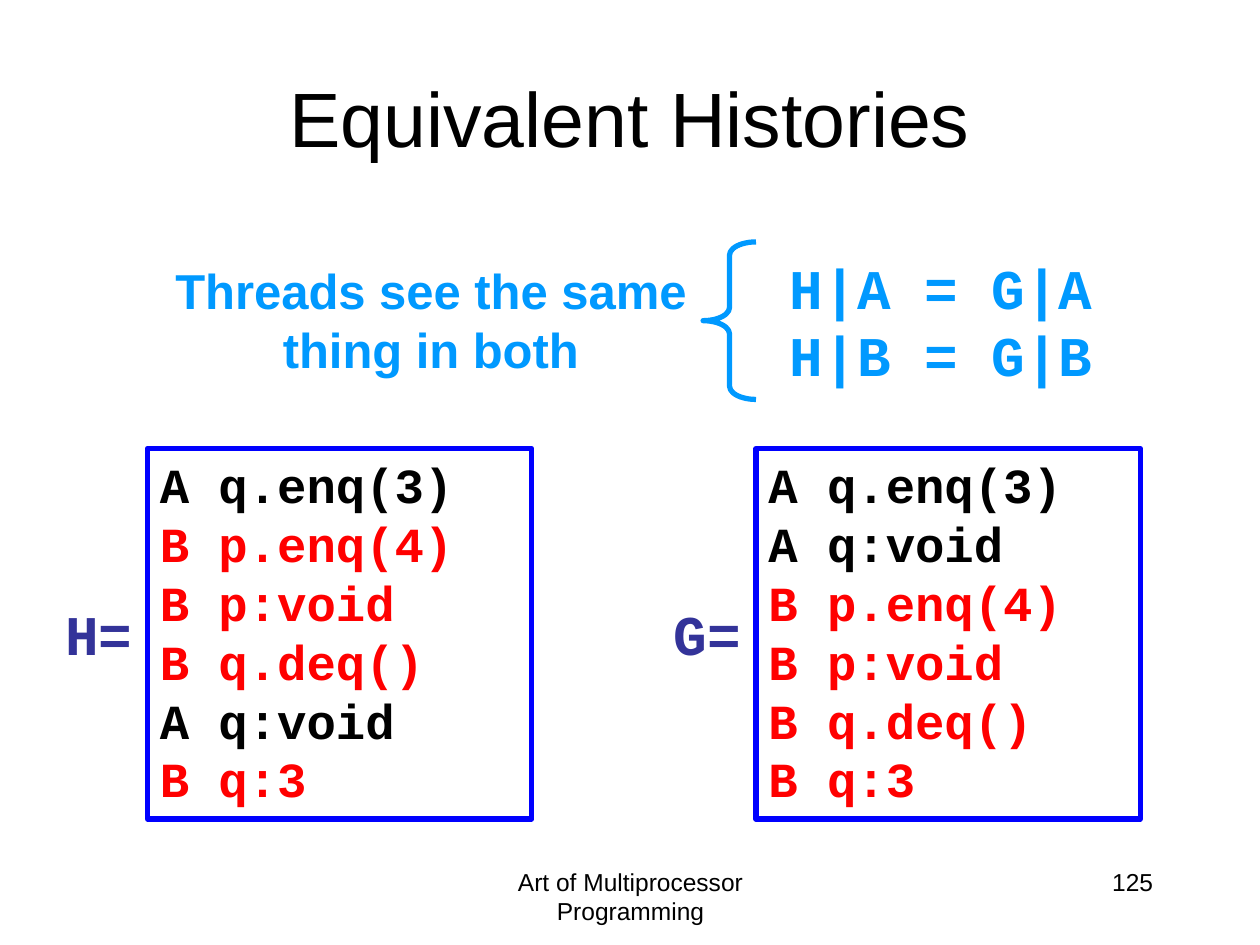
from dataclasses import dataclass

import pptx
import pptx.util
import pptx.dml.color
import pptx.enum.shapes
import pptx.enum.text

Inches = pptx.util.Inches
Shape = pptx.enum.shapes.MSO_SHAPE
Align = pptx.enum.text.PP_ALIGN
Anchor = pptx.enum.text.MSO_ANCHOR


@dataclass(frozen=True)
class Theme:
    sans: str = "Arial"
    mono: str = "Courier New"
    black: str = "000000"
    red: str = "FF0000"
    frame: str = "0000FF"
    label: str = "333399"
    accent: str = "0099FF"
    title_size: int = 44
    formula_size: int = 32
    body_size: int = 28
    footer_size: int = 14
    line_width: int = 3


class SlideBuilder:
    def __init__(self, slide, theme):
        self.slide = slide
        self.theme = theme

    def set_lines(self, sp, lines, size, font, colors, bold=False,
                  align=Align.LEFT, anchor=Anchor.TOP):
        """Fill a shape with one paragraph per line, one colour per line."""
        tf = sp.text_frame
        tf.word_wrap = True
        tf.vertical_anchor = anchor
        tf.text = "\n".join(lines)
        for p, color in zip(tf.paragraphs, colors):
            p.alignment = align
            f = p.runs[0].font
            f.name, f.size, f.bold = font, pptx.util.Pt(size), bold
            f.color.rgb = pptx.dml.color.RGBColor.from_string(color)

    def title(self, text):
        sp = self.slide.shapes.title
        sp.left, sp.top = Inches(0.5), Inches(0.3)
        sp.width, sp.height = Inches(9), Inches(1.25)
        t = self.theme
        self.set_lines(sp, [text], t.title_size, t.sans, [t.black],
                       align=Align.CENTER, anchor=Anchor.MIDDLE)

    def text(self, box, lines, size, font, color, bold=True, align=Align.LEFT):
        sp = self.slide.shapes.add_textbox(*map(Inches, box))
        self.set_lines(sp, lines, size, font, [color] * len(lines), bold, align)

    def outline(self, kind, box, color):
        sp = self.slide.shapes.add_shape(kind, *map(Inches, box))
        sp.shadow.inherit = False
        sp.fill.background()
        sp.line.color.rgb = pptx.dml.color.RGBColor.from_string(color)
        sp.line.width = pptx.util.Pt(self.theme.line_width)
        return sp

    def brace(self, box):
        sp = self.outline(Shape.LEFT_BRACE, box, self.theme.accent)
        sp.adjustments[0] = 0.25
        sp.adjustments[1] = 0.5

    def history(self, left, name, events):
        """A framed event list with its name; thread B is red."""
        t = self.theme
        sp = self.outline(Shape.RECTANGLE, (left, 3.56, 3.05, 2.94), t.frame)
        colors = [t.red if e.startswith("B") else t.black for e in events]
        self.set_lines(sp, events, t.body_size, t.mono, colors, bold=True)
        self.text((left - 0.75, 4.71, 1.25, 0.63), [name + "="],
                  t.formula_size, t.mono, t.label)


def main():
    prs = pptx.Presentation()
    prs.slide_width, prs.slide_height = Inches(10), Inches(7.5)
    t = Theme()
    s = SlideBuilder(prs.slides.add_slide(prs.slide_layouts[5]), t)

    s.title("Equivalent Histories")

    # What equivalence means
    s.text((1.17, 2.02, 4.5, 1.03), ["Threads see the same thing in both"],
           t.body_size, t.sans, t.accent, align=Align.CENTER)
    s.brace((5.58, 1.92, 0.42, 1.25))
    s.text((6.17, 1.96, 2.75, 1.17), ["H|A = G|A", "H|B = G|B"],
           t.formula_size, t.mono, t.accent)

    # The two histories
    s.history(1.17, "H", ["A q.enq(3)", "B p.enq(4)", "B p:void",
                          "B q.deq()", "A q:void", "B q:3"])
    s.history(6, "G", ["A q.enq(3)", "A q:void", "B p.enq(4)",
                       "B p:void", "B q.deq()", "B q:3"])

    # Footer and slide number
    s.text((3.42, 6.83, 3.17, 0.5), ["Art of Multiprocessor Programming"],
           t.footer_size, t.sans, t.black, bold=False, align=Align.CENTER)
    s.text((7.17, 6.83, 2.08, 0.5), ["125"],
           t.footer_size, t.sans, t.black, bold=False, align=Align.RIGHT)

    prs.save("out.pptx")


if __name__ == "__main__":
    main()
